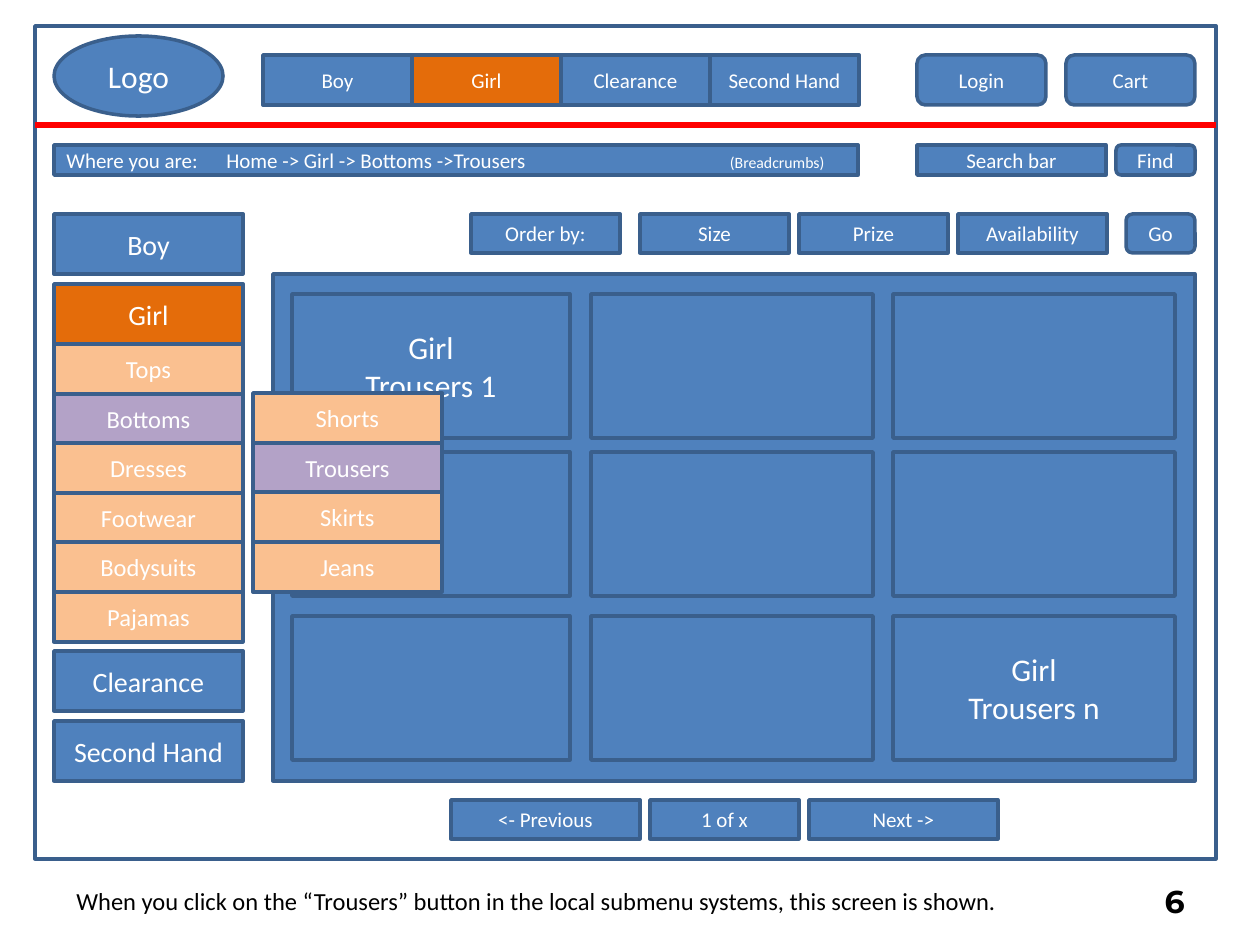
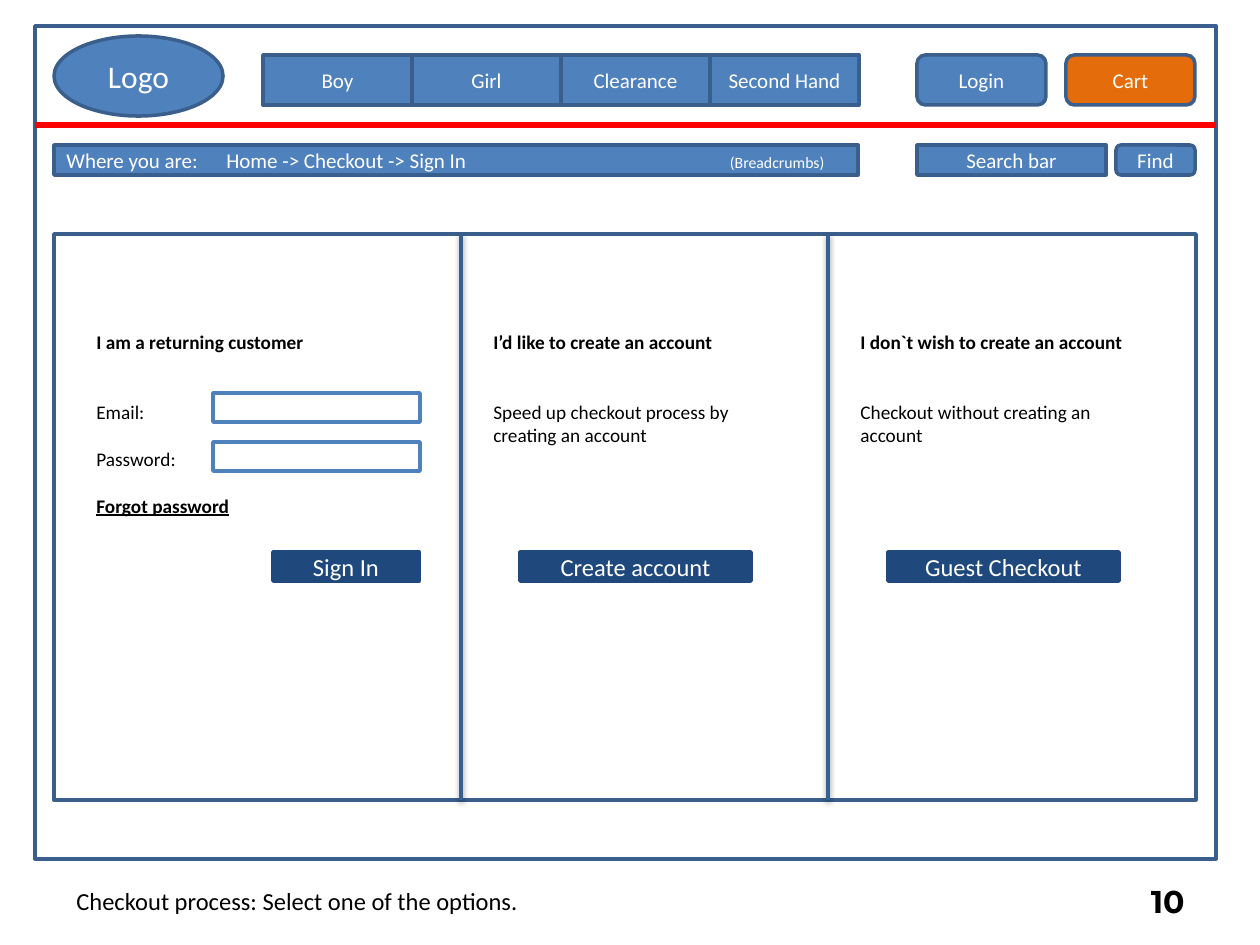
"""Build two wireframe pages of a children's clothes shop."""
from lxml.etree import SubElement
from pptx import Presentation
from pptx.dml.color import RGBColor
from pptx.enum.shapes import MSO_CONNECTOR as Line, MSO_SHAPE as Shape
from pptx.enum.text import MSO_ANCHOR as Anchor, PP_ALIGN as Align
from pptx.oxml.ns import qn
from pptx.util import Pt

EMU_PER_PX = 914400 / 126
WHITE = RGBColor(0xFF, 0xFF, 0xFF)
BLACK = RGBColor(0x00, 0x00, 0x00)
BLUE = RGBColor(0x4F, 0x81, 0xBD)
OUTLINE = RGBColor(0x3A, 0x5F, 0x8C)
DIVIDER = RGBColor(0x37, 0x60, 0x92)
NAVY = RGBColor(0x1F, 0x49, 0x7D)
ORANGE = RGBColor(0xE4, 0x6C, 0x0A)
PEACH = RGBColor(0xFA, 0xC0, 0x90)
LILAC = RGBColor(0xB3, 0xA2, 0xC7)
RED = RGBColor(0xFF, 0x00, 0x00)
SECTIONS = ["Boy", "Girl", "Clearance", "Second Hand"]


def px(length):
    return round(length * EMU_PER_PX)


class Wireframe:
    font = "Calibri"
    number_font = "Montserrat"

    def __init__(self):
        self.deck = Presentation()
        self.deck.slide_width, self.deck.slide_height = px(1260), px(945)
        self.page = None

    def style(self, paras, size, colour, align=Align.LEFT, bold=False, font=None):
        for para in paras:
            para.alignment = align
            for span in para.runs:
                span.font.name = font or self.font
                span.font.size = Pt(size)
                span.font.bold = bold
                span.font.color.rgb = colour

    def box(self, left, top, width, height, text="", size=12, fill=BLUE,
            outline=OUTLINE, kind=Shape.RECTANGLE):
        box = self.page.shapes.add_shape(kind, px(left), px(top), px(width), px(height))
        box.shadow.inherit = False
        if fill is None:
            box.fill.background()
        else:
            box.fill.solid()
            box.fill.fore_color.rgb = fill
        box.line.color.rgb = outline
        box.line.width = Pt(2)
        if text:
            box.text_frame.text = text
            box.text_frame.vertical_anchor = Anchor.MIDDLE
            self.style(box.text_frame.paragraphs, size, WHITE, Align.CENTER)
        return box

    def button(self, left, top, width, height, text, fill=BLUE):
        self.box(left, top, width, height, text, fill=fill, kind=Shape.ROUNDED_RECTANGLE)

    def label(self, left, top, width, height, text, size, **looks):
        label = self.page.shapes.add_textbox(px(left), px(top), px(width), px(height))
        label.text_frame.word_wrap = True
        label.text_frame.text = text
        self.style(label.text_frame.paragraphs, size, BLACK, **looks)
        return label

    def line(self, start, end, colour, width, shadow=False):
        line = self.page.shapes.add_connector(
            Line.STRAIGHT, px(start[0]), px(start[1]), px(end[0]), px(end[1]))
        line.line.color.rgb = colour
        line.line.width = Pt(width)
        effects = SubElement(line._element.spPr, qn("a:effectLst"))
        if shadow:
            outer = SubElement(effects, qn("a:outerShdw"), blurRad=str(Pt(3.1)),
                               dist=str(Pt(1.6)), dir="5400000", rotWithShape="0")
            black = SubElement(outer, qn("a:srgbClr"), val="000000")
            SubElement(black, qn("a:alpha"), val="38000")

    def breadcrumbs(self, trail):
        bar = self.box(54, 145, 804, 30, f"Where you are:\t{trail}\t")
        para = bar.text_frame.paragraphs[0]
        para.add_run().text = "(Breadcrumbs)"
        self.style([para], 12, WHITE)
        para.runs[-1].font.size = Pt(9)
        tabs = SubElement(para._p.get_or_add_pPr(), qn("a:tabLst"))
        for stop, side in ((160, "l"), (758, "r")):
            SubElement(tabs, qn("a:tab"), pos=str(px(stop)), algn=side)

    def menu(self, left, top, items, chosen):
        for i, item in enumerate(items):
            self.box(left, top + round(i * 49.6), 189, 50, item, 14,
                     LILAC if item == chosen else PEACH)

    def new_page(self, number, caption, trail, active):
        self.page = self.deck.slides.add_slide(self.deck.slide_layouts[6])
        self.box(35, 26, 1181, 833, fill=None)
        self.box(54, 36, 169, 80, "Logo", 18, kind=Shape.OVAL)
        for i, section in enumerate(SECTIONS):
            self.box(263 + 149 * i, 55, 149, 50, section,
                     fill=ORANGE if section == active else BLUE)
        self.line((35, 125), (1216, 125), RED, 3)
        for left, name in ((917, "Login"), (1066, "Cart")):
            self.button(left, 55, 129, 50, name, ORANGE if name == active else BLUE)
        self.breadcrumbs(trail)
        self.box(917, 145, 189, 30, "Search bar")
        self.button(1116, 145, 79, 30, "Find")
        self.label(64, 880, 1160, 43, caption, 14)
        badge = self.label(903, 876, 294, 50, number, 18, align=Align.RIGHT,
                           bold=True, font=self.number_font)
        badge.text_frame.vertical_anchor = Anchor.MIDDLE

    def option(self, left, width, paragraphs, gaps):
        option = self.label(left, 324, width, 130, "\n".join(paragraphs), 11)
        paras = option.text_frame.paragraphs
        paras[0].runs[0].font.bold = True
        for para, gap in zip(paras[1:], gaps):
            para.space_before = Pt(gap)
        return paras


def build_product_page(frame):
    frame.new_page("6", "When you click on the “Trousers” button in the local submenu "
                   "systems, this screen is shown.",
                   "Home -> Girl -> Bottoms ->Trousers", "Girl")
    for section, top in zip(SECTIONS, (214, 284, 651, 721)):
        frame.box(54, top, 189, 60, section, 16, ORANGE if section == "Girl" else BLUE)
    frame.menu(54, 344, ["Tops", "Bottoms", "Dresses", "Footwear", "Bodysuits", "Pajamas"],
               "Bottoms")

    frame.box(273, 274, 922, 507)
    products = {(0, 0): "Girl\nTrousers 1", (2, 2): "Girl\nTrousers n"}
    for row, top in enumerate((294, 452, 616)):
        for column, (left, width) in enumerate(((292, 278), (591, 282), (893, 282))):
            frame.box(left, top, width, 144, products.get((row, column), ""), 18)
    frame.menu(253, 393, ["Shorts", "Trousers", "Skirts", "Jeans"], "Trousers")

    frame.box(471, 214, 149, 39, "Order by:")
    for i, key in enumerate(("Size", "Prize", "Availability")):
        frame.box(640 + 159 * i, 214, 149, 39, key)
    frame.button(1126, 214, 69, 39, "Go")
    left = 451
    for text, width in (("<- Previous", 189), ("1 of x", 149), ("Next ->", 189)):
        frame.box(left, 800, width, 39, text)
        left += width + 10


def build_checkout_page(frame):
    frame.new_page("10", "Checkout process: Select one of the options.",
                   "Home -> Checkout -> Sign In", "Cart")
    frame.box(54, 234, 1142, 566, fill=WHITE)
    for left in (461, 828):
        frame.line((left, 234), (left, 800), DIVIDER, 2, shadow=True)

    sign_in = frame.option(84, 328, ["I am a returning customer", "Email:", "Password:",
                                     "Forgot password"], (27, 13.5, 13.5))
    link = sign_in[-1].runs[0].font
    link.bold = link.underline = True
    for top in (393, 442):
        frame.box(213, top, 207, 29, fill=WHITE, outline=BLUE)
    frame.option(481, 318, ["I’d like to create an account",
                            "Speed up checkout process by creating an account"], (27,))
    frame.option(848, 318, ["I don`t wish to create an account",
                            "Checkout without creating an account"], (27,))
    for left, width, text in ((273, 146, "Sign In"), (520, 231, "Create account"),
                              (888, 231, "Guest Checkout")):
        frame.box(left, 552, width, 29, text, 14, NAVY, NAVY)


def main():
    frame = Wireframe()
    build_product_page(frame)
    build_checkout_page(frame)
    frame.deck.save("out.pptx")


if __name__ == "__main__":
    main()
